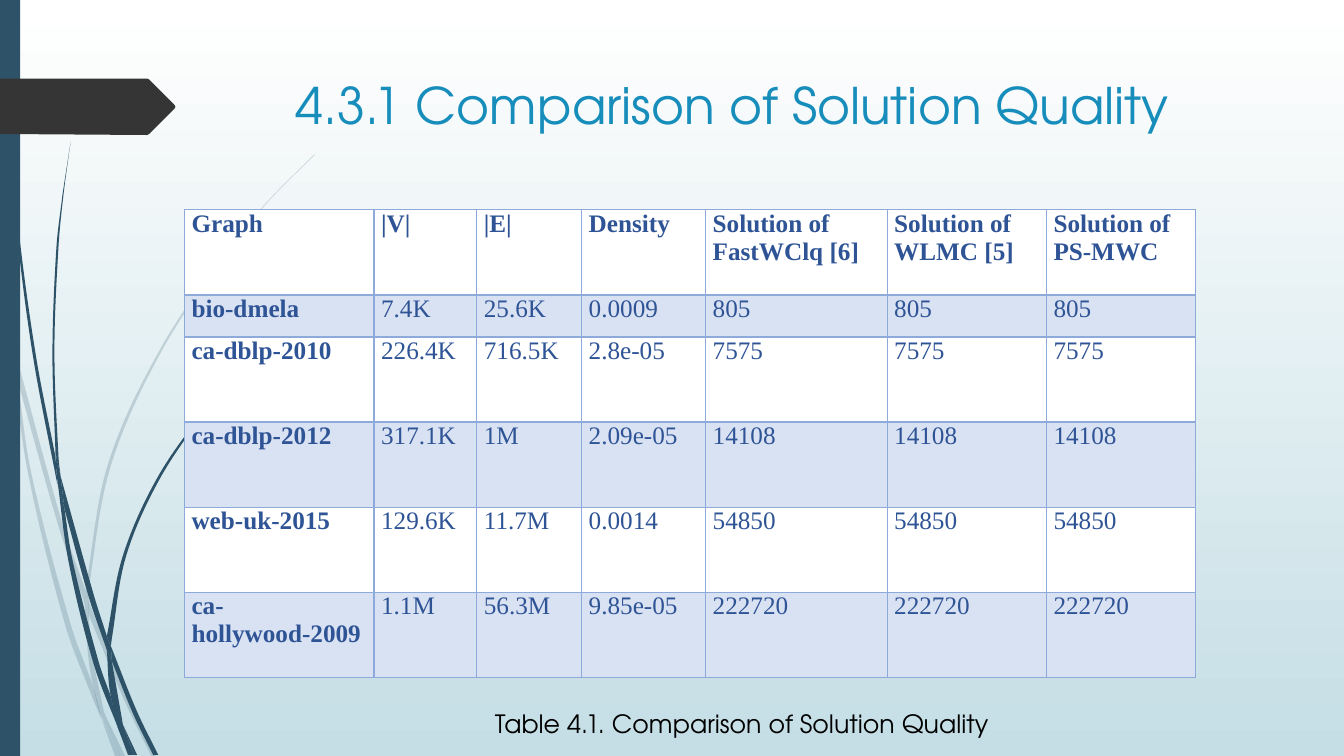
import math

import pptx
import pptx.dml.color
import pptx.enum.shapes
import pptx.enum.text
import pptx.oxml
import pptx.oxml.ns
import pptx.util

TITLE_FONT, TABLE_FONT = "TeX Gyre Adventor", "Times New Roman"
BLUE, TABLE_TEXT, BORDER, BAND = "178DBB", "2F5496", "8EAADB", "D9E2F3"
GRASS, TAG, WHITE, SKY, BLACK = "2E5369", "353535", "FFFFFF", "C5DEE5", "000000"

# Each blade of grass is a pair of edges: one way along it, then back.
PALE_BLADES = [
    ([(.11, 3.5), (.09, 3.22), (0, 2.82)], [(0, 2.99), (.1, 3.44)]),
    ([(.14, 3.45), (.62, 5.2), (.85, 5.86)], [(.84, 5.99), (.58, 5.22), (.17, 3.76)]),
    ([(.88, 5.96), (.92, 6.07), (1.27, 6.92), (1.55, 7.5)],
     [(1.5, 7.5), (1.23, 6.94), (.88, 6.1)]),
    ([(1.05, 7.11), (1.24, 7.5)], [(1.19, 7.5)]),
    ([(.11, 3.5), (.17, 3.76), (.31, 4.69), (.7, 6.19), (.93, 6.83), (1.01, 7.14)],
     [(.92, 6.93), (.65, 6.21), (.28, 4.7), (.11, 3.5)]),
    ([(.84, 5.99), (.87, 6.46), (.93, 6.83), (1.05, 7.11)],
     [(1.03, 7.06), (.91, 6.46), (.88, 6.1)]),
    ([(.85, 5.86), (.85, 5.84), (1.07, 4.61), (1.58, 3.48), (2.28, 2.44), (2.68, 1.97),
      (3.12, 1.53)],
     [(3.12, 1.54), (2.68, 1.98), (2.29, 2.45), (1.6, 3.49), (1.1, 4.62), (.88, 5.84),
      (.88, 5.96)]),
    ([(1.01, 7.14), (1.14, 7.5)], [(1.19, 7.5)]),
    ([(.88, 6.1), (.88, 5.96), (.85, 5.86)], [(.84, 5.99)]),
    ([(.93, 6.83), (.99, 7.07), (1.19, 7.5)], [(1.05, 7.11), (.96, 6.92)]),
]
DARK_BLADES = [
    ([(.03, 0), (.07, 1.1), (.17, 2.33), (.33, 3.55), (.57, 4.81)],
     [(.55, 4.53), (.36, 3.55), (.19, 2.32), (.08, 1.09), (.04, 0)]),
    ([(.6, 4.72), (.93, 5.9), (1.06, 6.31)], [(1.06, 6.45), (.88, 5.92), (.64, 5.05)]),
    ([(1.1, 6.41), (1.36, 7.06), (1.57, 7.49)], [(1.52, 7.49), (1.32, 7.08), (1.11, 6.56)]),
    ([(.57, 4.77), (.68, 5.57), (.93, 6.59), (1.17, 7.22)],
     [(1.1, 6.91), (.98, 6.57), (.72, 5.56), (.64, 5.05)]),
    ([(.6, 4.72), (.58, 4.53), (.54, 3.49), (.58, 2.45), (.63, 1.93), (.7, 1.41)],
     [(.62, 1.93), (.56, 2.45), (.52, 3.49), (.55, 4.49)]),
    ([(1.22, 7.19), (1.33, 7.49)], [(1.36, 7.49)]),
    ([(.55, 4.49), (.57, 4.77), (.64, 5.05)], [(.6, 4.72)]),
    ([(1.06, 6.31), (1.22, 5.51), (1.56, 4.74), (2.04, 4.05), (2.31, 3.73), (2.6, 3.44)],
     [(2.61, 3.44), (2.31, 3.74), (2.05, 4.06), (1.58, 4.76), (1.25, 5.52), (1.11, 6.33),
      (1.1, 6.41)]),
    ([(1.17, 7.22), (1.27, 7.49)], [(1.31, 7.49)]),
    ([(1.06, 6.45), (1.1, 6.91), (1.22, 7.19)], [(1.11, 6.56)]),
    ([(1.06, 6.45), (1.11, 6.56)], [(1.1, 6.41), (1.06, 6.31)]),
    ([(1.1, 6.91), (1.17, 7.22), (1.3, 7.49)], [(1.33, 7.49), (1.22, 7.19)]),
]
TAG_OUTLINE = [(0, .78), (1.46, .78), (1.48, .79), (1.73, 1.04), (1.74, 1.06),
               (1.73, 1.08), (1.48, 1.33), (1.46, 1.34), (0, 1.33)]

COLUMN_WIDTHS = [1.88, 1.02, 1.04, 1.23, 1.8, 1.58, 1.48]
TABLE_HEIGHT, SHORT_ROW = 4.64, .42
TALL_ROW = (TABLE_HEIGHT - SHORT_ROW) / 5
ROW_HEIGHTS = [TALL_ROW, SHORT_ROW] + [TALL_ROW] * 4
HEADER = ["Graph", "|V|", "|E|", "Density", "Solution of FastWClq [6]",
          "Solution of WLMC [5]", "Solution of PS-MWC"]
# All three solvers reach the same solution, given once as the last value.
GRAPHS = [
    ("bio-dmela", "7.4K", "25.6K", "0.0009", "805"),
    ("ca-dblp-2010", "226.4K", "716.5K", "2.8e-05", "7575"),
    ("ca-dblp-2012", "317.1K", "1M", "2.09e-05", "14108"),
    ("web-uk-2015", "129.6K", "11.7M", "0.0014", "54850"),
    ("ca-hollywood-2009", "1.1M", "56.3M", "9.85e-05", "222720"),
]


def rgb(code):
    return pptx.dml.color.RGBColor.from_string(code)


def bend(lines, knots):
    """Turn the line elements that join the knots into one smooth curve."""
    padded = [knots[0], *knots, knots[-1]]
    for line, a, b, c, d in zip(lines, padded, padded[1:], padded[2:], padded[3:]):
        reach = math.dist(b, c) / 3
        leave, arrive = reach / math.dist(a, c), reach / math.dist(b, d)
        handles = ([q + (r - p) * leave for p, q, r in zip(a, b, c)],
                   [r - (s - q) * arrive for q, r, s in zip(b, c, d)])
        line.tag = pptx.oxml.ns.qn("a:cubicBezTo")
        for index, (x, y) in enumerate(handles):
            line.insert(index, pptx.oxml.parse_xml(
                f'<a:pt {pptx.oxml.ns.nsdecls("a")} x="{round(x)}" y="{round(y)}"/>'))


class Deck:
    """Places elements on a grid whose cells are one inch square."""

    def __init__(self, columns, rows):
        self.cell = pptx.util.Inches(1)
        self.presentation = pptx.Presentation()
        self.presentation.slide_width = self.span(columns)
        self.presentation.slide_height = self.span(rows)
        self.slide = self.presentation.slides.add_slide(self.presentation.slide_layouts[6])
        self.shapes = self.slide.shapes

    def span(self, cells):
        return pptx.util.Emu(round(cells * self.cell))

    def background(self, top, bottom):
        fill = self.slide.background.fill
        fill.gradient()
        fill.gradient_angle = 270
        for stop, color, position in zip(fill.gradient_stops, (top, bottom), (0, 1)):
            stop.color.rgb = rgb(color)
            stop.position = position

    def paint(self, shape, color, opacity=100):
        shape.shadow.inherit = False
        shape.fill.solid()
        shape.fill.fore_color.rgb = rgb(color)
        shape.line.fill.background()
        if opacity < 100:
            tint = shape.fill._xPr.find(".//" + pptx.oxml.ns.qn("a:srgbClr"))
            tint.append(pptx.oxml.parse_xml(
                f'<a:alpha {pptx.oxml.ns.nsdecls("a")} val="{opacity * 1000}"/>'))

    def bar(self, left, top, width, height, color):
        shape = self.shapes.add_shape(pptx.enum.shapes.MSO_SHAPE.RECTANGLE,
                                      *map(self.span, (left, top, width, height)))
        self.paint(shape, color)

    def outline(self, points, color, opacity=100):
        start, *rest = [(self.span(x), self.span(y)) for x, y in points]
        builder = self.shapes.build_freeform(*start)
        builder.add_line_segments(rest)
        shape = builder.convert_to_shape()
        self.paint(shape, color, opacity)
        return shape

    def blades(self, edge_pairs, color, opacity=100):
        for there, back in edge_pairs:
            shape = self.outline(there + back, color, opacity)
            dots = list(shape._element.iter(pptx.oxml.ns.qn("a:pt")))
            knots = [(int(dot.get("x")), int(dot.get("y"))) for dot in dots]
            steps = [dot.getparent() for dot in dots]
            turn, end = len(there), len(there) + len(back)
            bend(steps[1:turn], knots[:turn])
            bend(steps[turn + 1:end], knots[turn:end])

    def style(self, paragraph, font, size, color, bold=False):
        paragraph.font.name = font
        paragraph.font.size = pptx.util.Pt(size)
        paragraph.font.color.rgb = rgb(color)
        paragraph.font.bold = bold

    def text(self, left, top, width, height, words, size, color, wrap=True, spacing=None):
        box = self.shapes.add_textbox(*map(self.span, (left, top, width, height)))
        frame = box.text_frame
        frame.word_wrap = wrap
        if not wrap:
            frame.auto_size = pptx.enum.text.MSO_AUTO_SIZE.SHAPE_TO_FIT_TEXT
        paragraph = frame.paragraphs[0]
        paragraph.text = words
        paragraph.line_spacing = spacing
        self.style(paragraph, TITLE_FONT, size, color)

    def borders(self, cell, **widths):
        properties = cell._tc.get_or_add_tcPr()
        for side, points in widths.items():
            properties.append(pptx.oxml.parse_xml(
                f'<a:ln{side} {pptx.oxml.ns.nsdecls("a")} w="{pptx.util.Pt(points)}">'
                f'<a:solidFill><a:srgbClr val="{BORDER}"/></a:solidFill></a:ln{side}>'))

    def table(self, left, top, widths, heights, content):
        size = (left, top, sum(widths), sum(heights))
        table = self.shapes.add_table(len(heights), len(widths), *map(self.span, size)).table
        table.first_row = table.horz_banding = False
        for column, width in zip(table.columns, widths):
            column.width = self.span(width)
        for r, (row, height, values) in enumerate(zip(table.rows, heights, content)):
            row.height = self.span(height)
            for c, (cell, value) in enumerate(zip(row.cells, values)):
                cell.margin_left = cell.margin_right = self.span(.07)
                cell.margin_top = cell.margin_bottom = 0
                self.borders(cell, L=1, R=1, T=1.5 if r == 1 else 1, B=1.5 if r == 0 else 1)
                cell.fill.solid()
                cell.fill.fore_color.rgb = rgb(BAND if r % 2 else WHITE)
                cell.text = value
                self.style(cell.text_frame.paragraphs[0], TABLE_FONT, 18, TABLE_TEXT,
                           bold=r == 0 or c == 0)


def main():
    deck = Deck(13.33, 7.5)
    deck.background(WHITE, SKY)
    deck.blades(PALE_BLADES, GRASS, opacity=20)
    deck.blades(DARK_BLADES, GRASS)
    deck.bar(0, 0, .2, 7.5, GRASS)
    deck.outline(TAG_OUTLINE, TAG)
    deck.text(2.83, .69, 9.75, 1.4, "4.3.1 Comparison of Solution Quality", 36, BLUE)
    rows = [HEADER] + [[*facts, *[solution] * 3] for *facts, solution in GRAPHS]
    deck.table(1.83, 2.08, COLUMN_WIDTHS, ROW_HEIGHTS, rows)
    deck.text(4.81, 6.83, 5.2, .56, "Table 4.1. Comparison of Solution Quality", 18, BLACK,
              wrap=False, spacing=1.5)
    deck.presentation.save("out.pptx")


if __name__ == "__main__":
    main()
